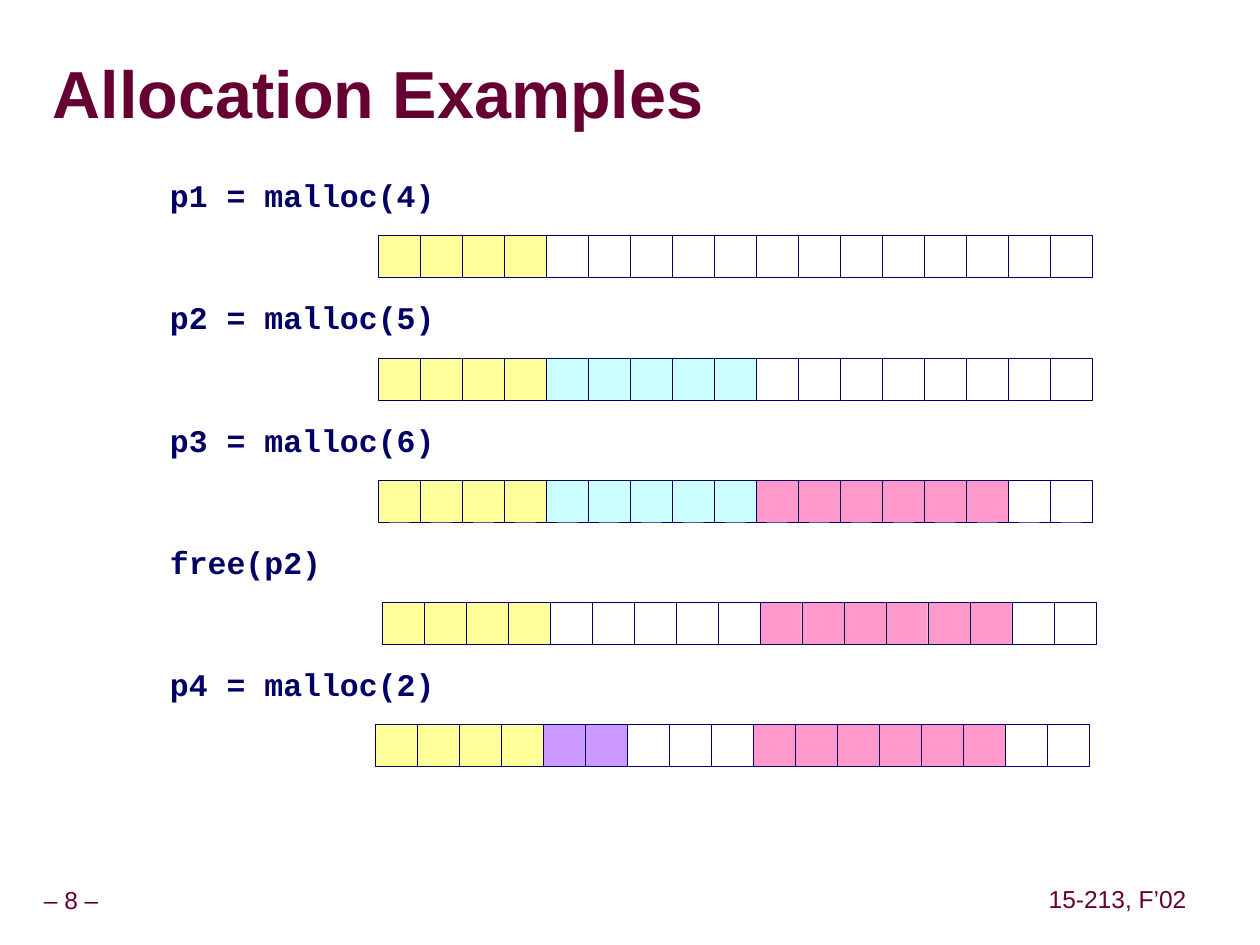
from lxml import etree
from pptx import Presentation
from pptx.dml.color import RGBColor
from pptx.enum.shapes import MSO_SHAPE
from pptx.enum.text import MSO_ANCHOR, PP_ALIGN
from pptx.oxml.ns import qn
from pptx.util import Inches, Pt

RECT = MSO_SHAPE.RECTANGLE
TOP, MIDDLE = MSO_ANCHOR.TOP, MSO_ANCHOR.MIDDLE
LEFT, CENTER = PP_ALIGN.LEFT, PP_ALIGN.CENTER

WIDE, HIGH = 10, 7.5
CELL = WIDE / 30   # one heap word
PITCH = 0.97       # from one step to the next
CHAR = 0.15        # width of one code character
COLORS = {
    "wine": "660033", "navy": "000066", "shade": "969696",
    "p1": "FFFF99", "p2": "CCFFFF", "p3": "FF99CC", "p4": "CC99FF",
    "free": "FFFFFF",
}

# Call, shift of its heap row, and the runs of words in the heap
STEPS = [
    ("p1 = malloc(4)", 0, [("p1", 4), ("free", 13)]),
    ("p2 = malloc(5)", 0, [("p1", 4), ("p2", 5), ("free", 8)]),
    ("p3 = malloc(6)", 0, [("p1", 4), ("p2", 5), ("p3", 6), ("free", 2)]),
    ("free(p2)", 0.03, [("p1", 4), ("free", 5), ("p3", 6), ("free", 2)]),
    ("p4 = malloc(2)", -0.02,
     [("p1", 4), ("p4", 2), ("free", 3), ("p3", 6), ("free", 2)]),
]


def color(name):
    return RGBColor.from_string(COLORS[name])


def style(shape, text, face, size, ink, bold=False, align=LEFT,
          anchor=TOP, pad=(0, 0), lead=None):
    frame = shape.text_frame
    frame.text = text
    frame.vertical_anchor = anchor
    frame.margin_left = frame.margin_right = Inches(pad[0])
    frame.margin_top = frame.margin_bottom = Inches(pad[1])
    para = frame.paragraphs[0]
    para.alignment = align
    if lead:
        para.line_spacing = lead
    font = para.runs[0].font
    font.name, font.size, font.bold = face, Pt(size), bold
    font.color.rgb = color(ink)
    return para.runs[0]


def add_label(slide, box, text, *args, **more):
    label = slide.shapes.add_textbox(*map(Inches, box))
    label.text_frame.word_wrap = False
    style(label, text, *args, **more)


def add_title(slide, box, text):
    title = slide.shapes.title
    title.left, title.top, title.width, title.height = map(Inches, box)
    run = style(title, text, "Arial", 38, "wine", bold=True,
                anchor=MIDDLE, lead=0.87)
    # Text shadow, which must stand before the typeface
    effects = etree.Element(qn("a:effectLst"))
    shadow = etree.SubElement(effects, qn("a:outerShdw"), dist="50800",
                              dir="2700000", algn="ctr", rotWithShape="0")
    etree.SubElement(shadow, qn("a:srgbClr"), val=COLORS["shade"])
    run.font._element.find(qn("a:latin")).addprevious(effects)


def add_heap(slide, left, top, blocks):
    words = [name for name, count in blocks for _ in range(count)]
    for col, name in enumerate(words):
        word = slide.shapes.add_shape(
            RECT, Inches(left + col * CELL), Inches(top),
            Inches(CELL), Inches(CELL))
        word.shadow.inherit = False
        word.fill.solid()
        word.fill.fore_color.rgb = color(name)
        word.line.color.rgb = color("navy")
        word.line.width = Pt(0.25)


def add_step(slide, left, top, call, shift, blocks):
    add_heap(slide, left + 1.75 + shift, top + 0.52, blocks)
    add_label(slide, (left, top, len(call) * CHAR + 0.2, 0.4), call,
              "Courier New", 18, "navy", bold=True, pad=(0.1, 0.05))


def add_footer(slide, box, text):
    add_label(slide, box, text, "Arial", 14, "wine", align=CENTER,
              anchor=MIDDLE, pad=(0.05, 0.05), lead=0.9)


def main():
    deck = Presentation()
    deck.slide_width, deck.slide_height = Inches(WIDE), Inches(HIGH)
    slide = deck.slides.add_slide(deck.slide_layouts[5])

    # Page number and course
    add_footer(slide, (-0.09, 7, 1.31, 0.31), "– 8 –")
    add_footer(slide, (8.27, 6.99, 1.2, 0.31), "15-213, F’02")

    add_title(slide, (0.42, 0.46, 7.07, 0.63), "Allocation Examples")

    # Calls, each with the heap after it
    for row, step in enumerate(STEPS):
        add_step(slide, WIDE / 8, 1.35 + row * PITCH, *step)

    deck.save("out.pptx")


if __name__ == "__main__":
    main()
